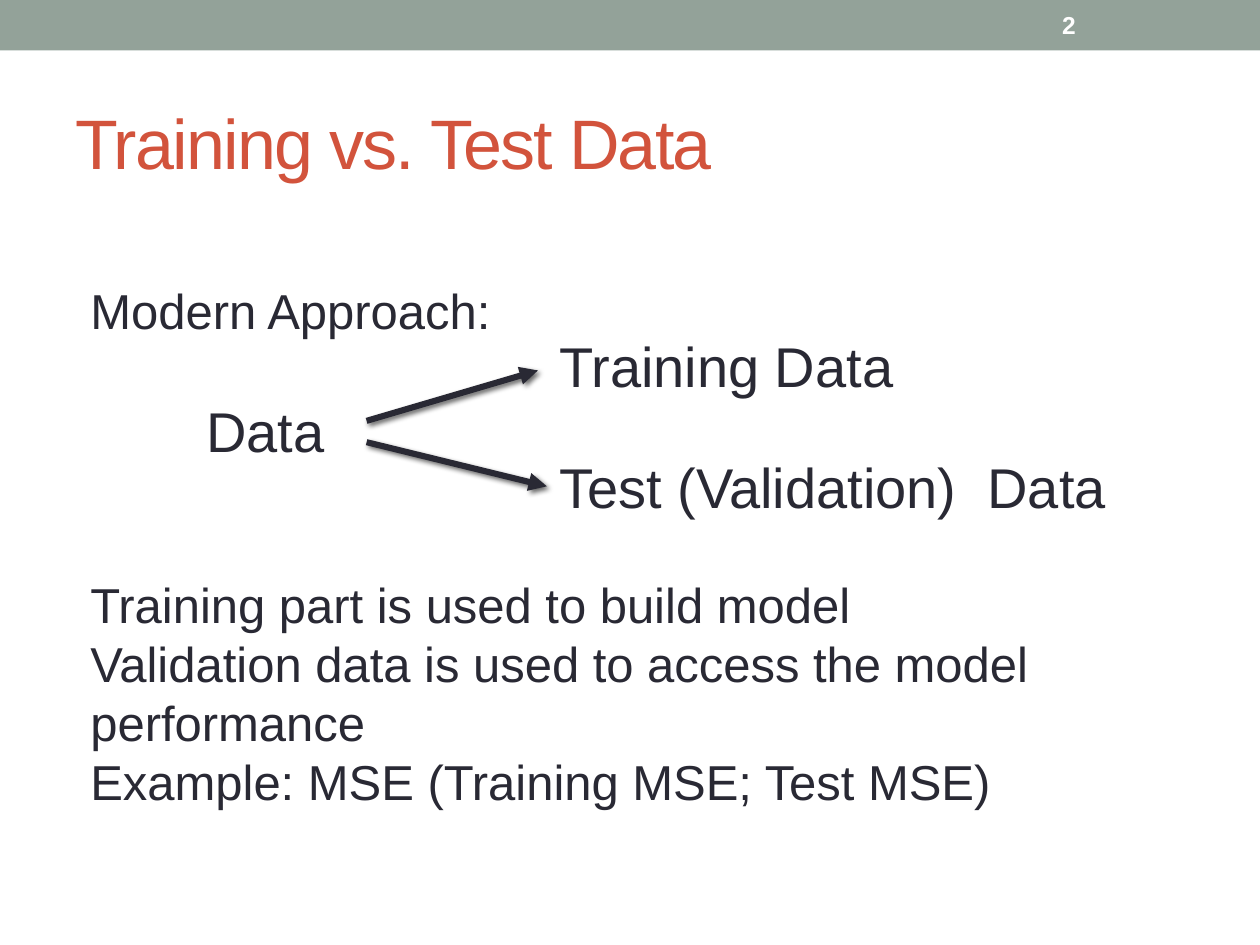
from lxml.etree import SubElement
from pptx import Presentation
from pptx.dml.color import RGBColor
from pptx.enum.shapes import MSO_CONNECTOR as CONN, MSO_SHAPE as SHAPE
from pptx.enum.text import MSO_ANCHOR as ANCHOR, PP_ALIGN as ALIGN
from pptx.oxml.ns import qn
from pptx.util import Pt

COLORS = {"band": "93A299", "title": "D2533C", "ink": "292934",
          "white": "FFFFFF", "shadow": "000000"}
FONT = "Arial"
BODY_PITCH = 33.6
DIAGRAM_GAP = 4 * BODY_PITCH
BODY = [
    ("Modern Approach:", DIAGRAM_GAP),
    ("Training part is used to build model", 0),
    ("Validation data is used to access the model performance", 0),
    ("Example: MSE (Training MSE; Test MSE)", 0),
]
LABELS = [
    ("Data", 110.9, 223.2, 92),
    ("Training Data", 312.5, 185.8, 216),
    ("Test (Validation)  Data", 312.5, 254.9, 340),
]
ARROWS = [(209.5, 240.5, 307.4, 211.7), (209.5, 252.7, 312.5, 277.9)]


def rgb(name):
    """Return the named colour."""
    return RGBColor.from_string(COLORS[name])


def place(s, x, y, w, h):
    """Set position and size of a shape in points."""
    s.left, s.top, s.width, s.height = Pt(x), Pt(y), Pt(w), Pt(h)


def write(p, text, size=28, color="ink", bold=False, tracking=None,
          pitch=None, after=0):
    """Fill a left-aligned paragraph with one formatted run."""
    p.alignment = ALIGN.LEFT
    p.space_before, p.space_after = Pt(0), Pt(after)
    if pitch:
        p.line_spacing = Pt(pitch)
    r = p.add_run()
    r.text = text
    r.font.name, r.font.size, r.font.bold = FONT, Pt(size), bold
    r.font.color.rgb = rgb(color)
    if tracking:
        r._r.get_or_add_rPr().set("spc", str(round(tracking * 100)))


def add_box(slide, x, y, w, h, anchor=ANCHOR.TOP):
    """Add a wrapping text box and return its text frame."""
    tf = slide.shapes.add_textbox(Pt(x), Pt(y), Pt(w), Pt(h)).text_frame
    tf.word_wrap, tf.vertical_anchor = True, anchor
    return tf


def add_band(slide):
    """Add the coloured band along the top edge."""
    s = slide.shapes.add_shape(SHAPE.RECTANGLE, 0, 0, Pt(720), Pt(28.8))
    s.shadow.inherit = False
    s.fill.solid()
    s.fill.fore_color.rgb = rgb("band")
    s.line.fill.background()


def add_title(slide, text):
    """Place and format the title placeholder."""
    s = slide.shapes.title
    place(s, 36, 41.8, 648, 77.8)
    s.text_frame.vertical_anchor = ANCHOR.MIDDLE
    write(s.text_frame.paragraphs[0], text, size=40, color="title", tracking=-1)


def add_body(slide):
    """Add the explanatory lines, leaving room for the diagram."""
    tf = add_box(slide, 44.6, 157, 648, 380)
    for i, (text, after) in enumerate(BODY):
        p = tf.add_paragraph() if i else tf.paragraphs[0]
        write(p, text, pitch=BODY_PITCH, after=after)


def add_arrow(slide, x1, y1, x2, y2):
    """Add a thick arrow with a soft shadow."""
    s = slide.shapes.add_connector(CONN.STRAIGHT, Pt(x1), Pt(y1), Pt(x2), Pt(y2))
    s.line.width = Pt(3.5)
    s.line.color.rgb = rgb("ink")
    SubElement(s.line._get_or_add_ln(), qn("a:tailEnd"), type="triangle")
    effects = SubElement(s._element.spPr, qn("a:effectLst"))
    shadow = SubElement(effects, qn("a:outerShdw"), blurRad=str(Pt(3)),
                        dist=str(Pt(2)), dir="2700000", rotWithShape="0")
    color = SubElement(shadow, qn("a:srgbClr"), val=COLORS["shadow"])
    SubElement(color, qn("a:alpha"), val="60000")


def main():
    """Build the slide and save it."""
    prs = Presentation()
    prs.slide_width, prs.slide_height = Pt(720), Pt(540)
    slide = prs.slides.add_slide(prs.slide_layouts[5])
    add_band(slide)
    add_title(slide, "Training vs. Test Data")
    number = add_box(slide, 599.8, 1.4, 84.2, 25.9, ANCHOR.MIDDLE)
    write(number.paragraphs[0], "2", size=14, color="white", bold=True)
    add_body(slide)
    for ends in ARROWS:
        add_arrow(slide, *ends)
    for text, x, y, w in LABELS:
        write(add_box(slide, x, y, w, 46).paragraphs[0], text, size=32)
    prs.save("out.pptx")


main()
